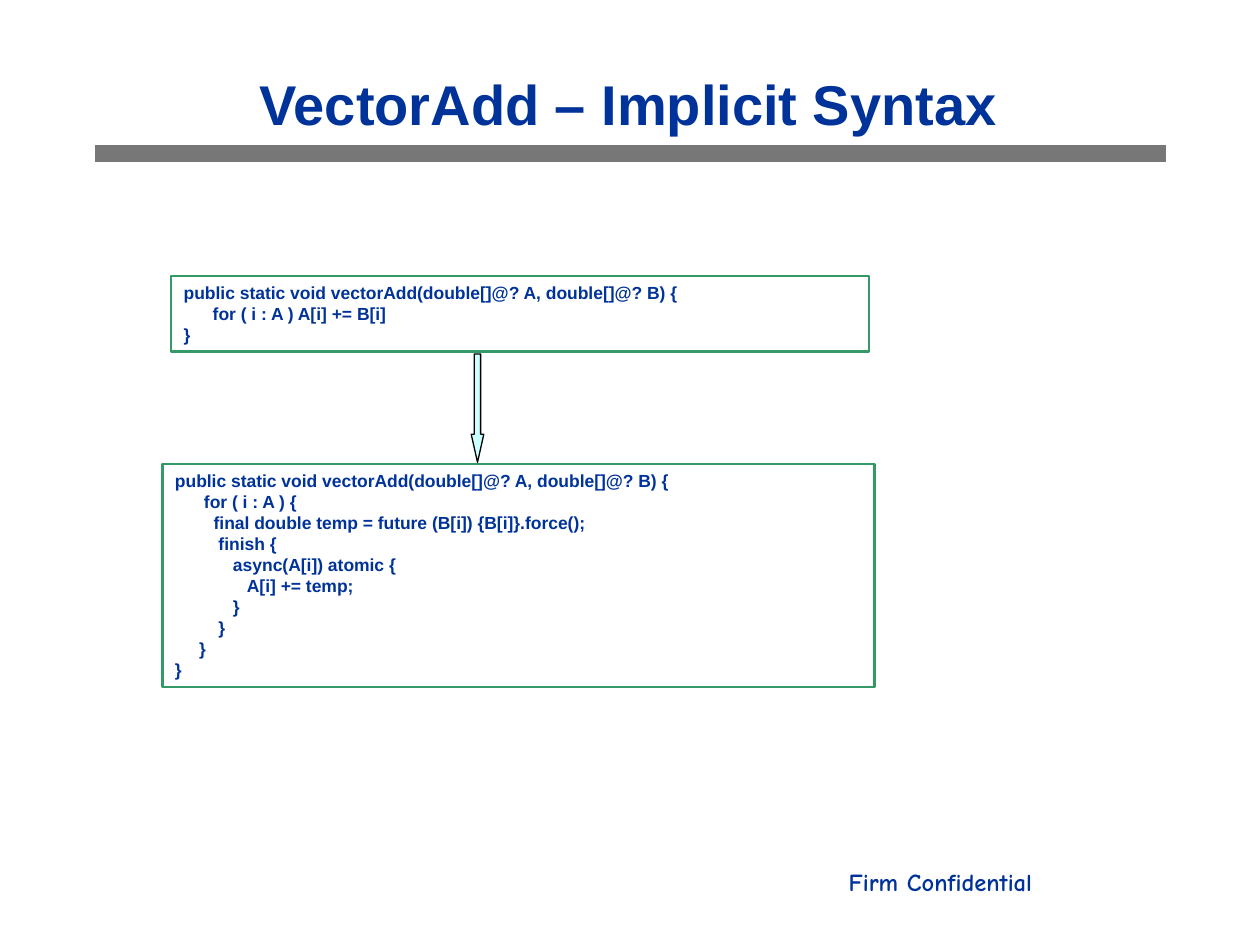
from lxml import etree
from pptx import Presentation
from pptx.dml.color import RGBColor
from pptx.enum.shapes import MSO_CONNECTOR, MSO_SHAPE
from pptx.enum.text import MSO_ANCHOR, PP_ALIGN
from pptx.oxml.ns import qn
from pptx.util import Inches, Pt

STRAIGHT = MSO_CONNECTOR.STRAIGHT
RECTANGLE, DOWN_ARROW = MSO_SHAPE.RECTANGLE, MSO_SHAPE.DOWN_ARROW
TOP, MIDDLE = MSO_ANCHOR.TOP, MSO_ANCHOR.MIDDLE
LEFT, CENTER, RIGHT = PP_ALIGN.LEFT, PP_ALIGN.CENTER, PP_ALIGN.RIGHT
NAVY, GREEN, GRAY, AQUA, BLACK = "003399", "339966", "777777", "CCFFFF", "000000"

IMPLICIT_CODE = """public static void vectorAdd(double[]@? A, double[]@? B) {
      for ( i : A ) A[i] += B[i]
}"""
EXPANDED_CODE = """public static void vectorAdd(double[]@? A, double[]@? B) {
      for ( i : A ) {
        final double temp = future (B[i]) {B[i]}.force();
         finish {
            async(A[i]) atomic {
               A[i] += temp;
            }
         }
     }
}"""


def color(value):
    """Turn a hex string into a colour."""
    return RGBColor.from_string(value)


def write(box, text, size, font="Arial", align=LEFT, anchor=TOP, spacing=None):
    """Write bold navy text, one paragraph per line."""
    frame = box.text_frame
    frame.word_wrap = True
    frame.vertical_anchor = anchor
    frame.margin_left = frame.margin_right = Inches(0.1)
    frame.margin_top = frame.margin_bottom = Inches(0.05)
    for index, line in enumerate(text.split("\n")):
        para = frame.paragraphs[0] if index == 0 else frame.add_paragraph()
        para.alignment = align
        para.line_spacing = spacing
        span = para.add_run()
        span.text = line
        span.font.name, span.font.size, span.font.bold = font, Pt(size), True
        span.font.color.rgb = color(NAVY)


def add_title(page, text):
    """Place and fill the title placeholder."""
    title = page.shapes.title
    title.left, title.top = Inches(1.54), Inches(0.5)
    title.width, title.height = Inches(6.9), Inches(0.63)
    write(title, text, 32, align=CENTER, anchor=MIDDLE)


def add_rule(page, left, right, top):
    """Draw the thick rule under the title."""
    rule = page.shapes.add_connector(
        STRAIGHT, Inches(left), Inches(top), Inches(right), Inches(top))
    rule.line.color.rgb = color(GRAY)
    rule.line.width = Pt(10)
    etree.SubElement(rule._element.spPr, qn("a:effectLst"))


def add_shape(page, kind, place, line, weight):
    """Add an outlined shape without a shadow."""
    shape = page.shapes.add_shape(kind, *map(Inches, place))
    shape.shadow.inherit = False
    shape.line.color.rgb = color(line)
    shape.line.width = Pt(weight)
    return shape


def add_code(page, code, place):
    """Add a framed code listing."""
    box = add_shape(page, RECTANGLE, place, GREEN, 1.25)
    box.fill.background()
    write(box, code, 10, spacing=Pt(12))


def add_arrow(page, place):
    """Add the slim block arrow between the listings."""
    arrow = add_shape(page, DOWN_ARROW, place, BLACK, 0.75)
    arrow.fill.solid()
    arrow.fill.fore_color.rgb = color(AQUA)
    arrow.adjustments[0] = 0.5
    arrow.adjustments[1] = 2.23


def add_footer(page, text):
    """Add the right-aligned confidentiality note."""
    box = page.shapes.add_textbox(
        Inches(1.6), Inches(6.83), Inches(6.69), Inches(0.5))
    write(box, text, 14, font="Comic Neue", align=RIGHT)


def main():
    """Build and save the slide."""
    deck = Presentation()
    deck.slide_width, deck.slide_height = Inches(10), Inches(7.5)
    page = deck.slides.add_slide(deck.slide_layouts[5])
    add_rule(page, 0.75, 9.25, 1.22)
    add_title(page, "VectorAdd – Implicit Syntax")
    add_code(page, IMPLICIT_CODE, (1.36, 2.19, 5.54, 0.6))
    add_code(page, EXPANDED_CODE, (1.29, 3.68, 5.65, 1.77))
    add_arrow(page, (3.74, 2.81, 0.1, 0.86))
    add_footer(page, "Firm Confidential")
    deck.save("out.pptx")


if __name__ == "__main__":
    main()
